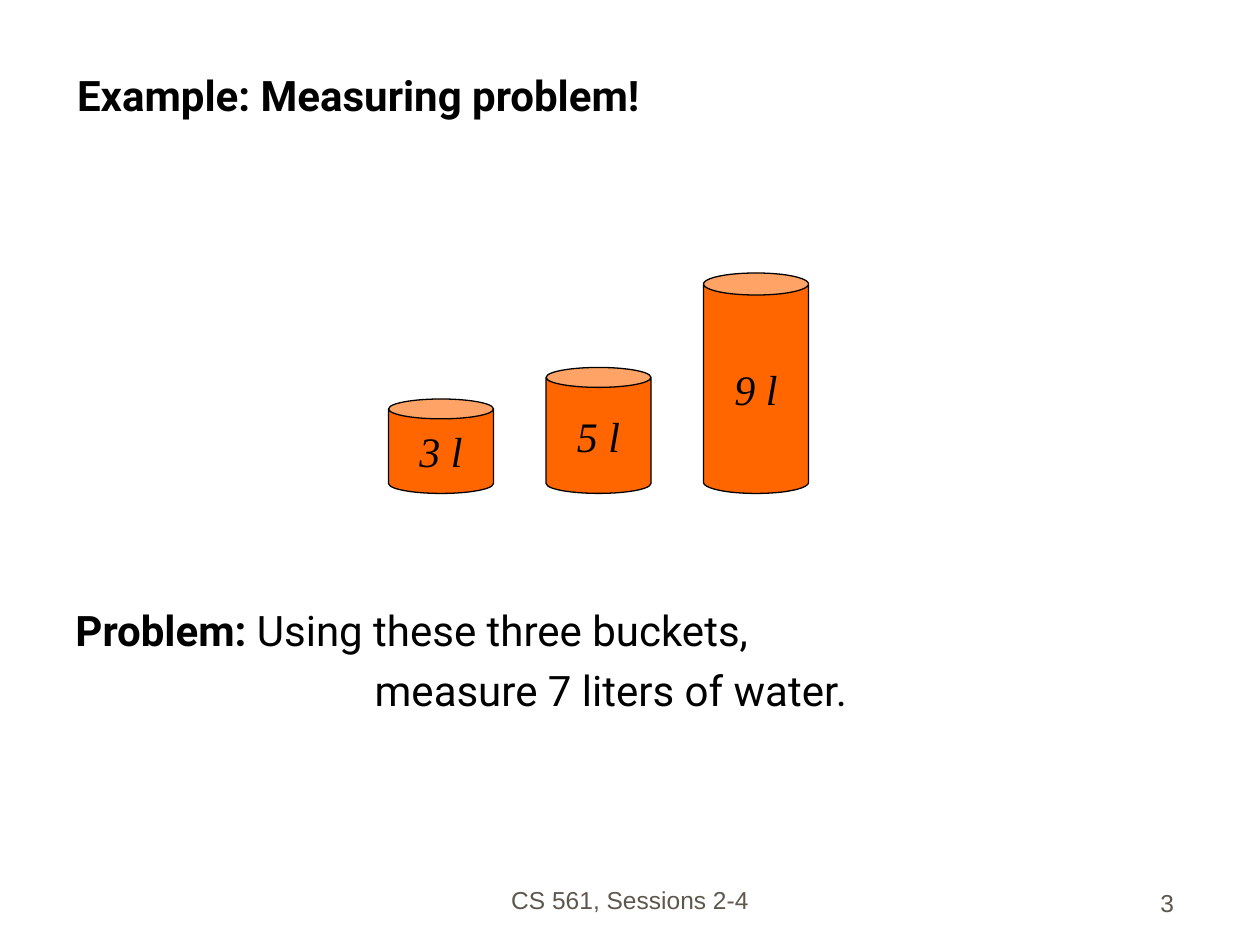
from dataclasses import dataclass

from pptx import Presentation
from pptx.dml.color import RGBColor
from pptx.enum import shapes, text
from pptx.util import Pt


@dataclass(frozen=True)
class Theme:
    ink: RGBColor = RGBColor(0, 0, 0)
    gray: RGBColor = RGBColor(0x5E, 0x57, 0x4E)
    orange: RGBColor = RGBColor(0xFF, 0x66, 0x00)
    sans: str = "Roboto"
    serif: str = "Times New Roman"
    small: str = "Arial"
    main: int = 24
    note: int = 14


THEME = Theme()
ALIGN = text.PP_ALIGN
ANCHOR = text.MSO_ANCHOR


def style(font, name, size, color, bold=False, italic=False):
    font.name, font.size = name, Pt(size)
    font.bold, font.italic = bold, italic
    font.color.rgb = color


def add_box(slide, box, anchor):
    """Add a wrapping text box and return its text frame."""
    frame = slide.shapes.add_textbox(*map(Pt, box)).text_frame
    frame.word_wrap = True
    frame.vertical_anchor = anchor
    return frame


def add_title(slide, box, words):
    frame = add_box(slide, box, ANCHOR.BOTTOM)
    frame.text = words
    style(frame.paragraphs[0].runs[0].font, THEME.sans, THEME.main,
          THEME.ink, bold=True)


def add_task(slide, box, label, first, second, indent):
    """Place a bold label with its first line, then an indented second line."""
    frame = add_box(slide, box, ANCHOR.TOP)
    top = frame.paragraphs[0]
    for words, bold in ((label, True), (first, False)):
        run = top.add_run()
        run.text = words
        style(run.font, THEME.sans, THEME.main, THEME.ink, bold=bold)

    low = frame.add_paragraph()
    low.text = second
    low.space_before = Pt(5.6)
    props = low._p.get_or_add_pPr()
    props.set("marL", str(Pt(indent)))
    props.set("indent", "0")
    style(low.runs[0].font, THEME.sans, THEME.main, THEME.ink)


def add_bucket(group, box, label, rim):
    can = group.shapes.add_shape(shapes.MSO_SHAPE.CAN, *map(Pt, box))
    can.adjustments[0] = rim
    can.shadow.inherit = False
    can.fill.solid()
    can.fill.fore_color.rgb = THEME.orange
    can.line.color.rgb = THEME.ink
    can.line.width = Pt(0.75)

    frame = can.text_frame
    frame.text = label
    frame.word_wrap = False
    frame.vertical_anchor = ANCHOR.MIDDLE
    line = frame.paragraphs[0]
    line.alignment = ALIGN.CENTER
    style(line.runs[0].font, THEME.serif, THEME.main, THEME.ink, italic=True)


def add_buckets(slide, box, buckets):
    """Stand equally spaced buckets, one and a half widths apart, on the box floor."""
    left, top, width, height = box
    wide = width / (1.5 * len(buckets) - 0.5)
    group = slide.shapes.add_group_shape()
    for i, (label, tall, rim) in enumerate(buckets):
        spot = (left + 1.5 * wide * i, top + height - tall, wide, tall)
        add_bucket(group, spot, label, rim)


def add_note(slide, box, words, align):
    frame = add_box(slide, box, ANCHOR.BOTTOM)
    frame.text = words
    line = frame.paragraphs[0]
    line.alignment = align
    style(line.runs[0].font, THEME.small, THEME.note, THEME.gray)


def main():
    deck = Presentation()
    deck.slide_width, deck.slide_height = Pt(720), Pt(540)
    slide = deck.slides.add_slide(deck.slide_layouts[6])

    add_note(slide, (246, 490, 228, 36), "CS 561, Sessions 2-4", ALIGN.CENTER)
    add_note(slide, (528, 492, 150, 36), "3", ALIGN.RIGHT)
    add_title(slide, (37, 18, 642, 54), "Example: Measuring problem!")
    add_task(slide, (36, 342, 644, 54), "Problem:",
             " Using these three buckets,", "measure 7 liters of water.", 171)
    add_buckets(slide, (222, 156, 240, 126),
                (("3 l", 54, 0.21), ("5 l", 72, 0.19), ("9 l", 126, 0.21)))

    deck.save("out.pptx")


if __name__ == "__main__":
    main()
